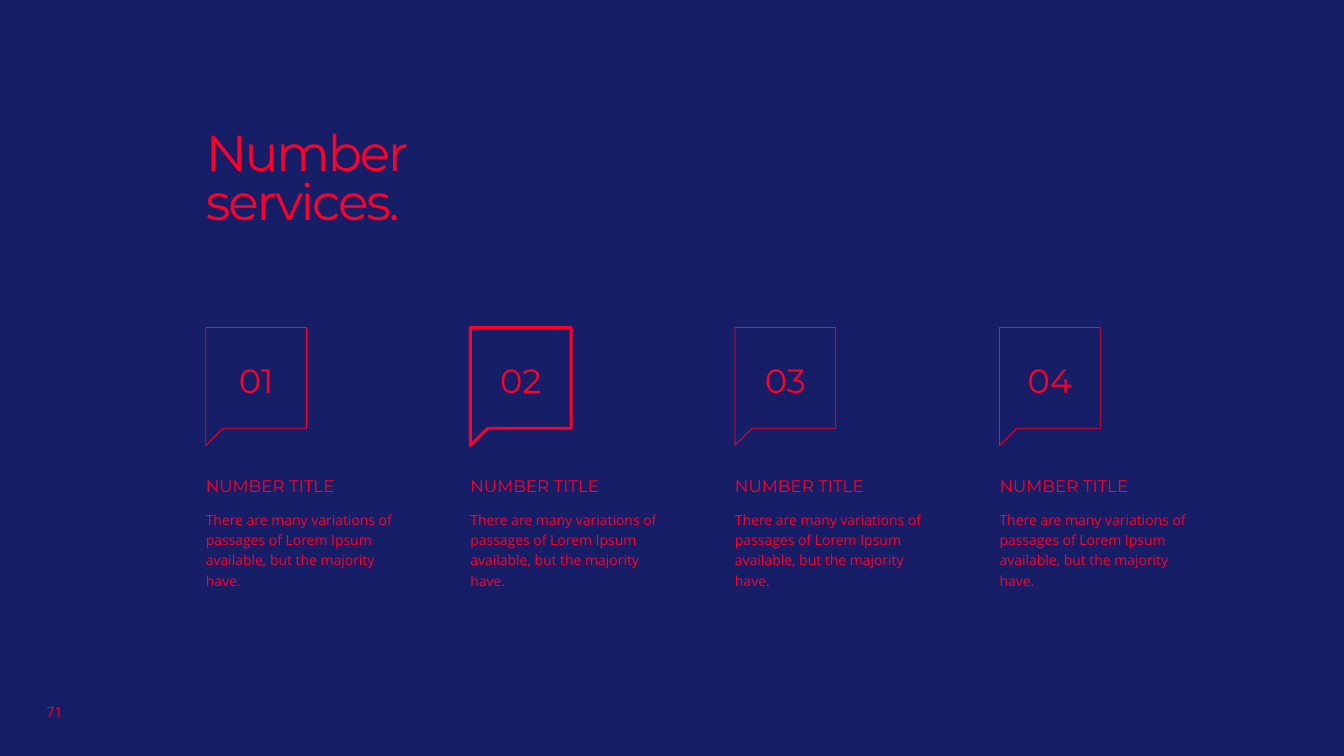
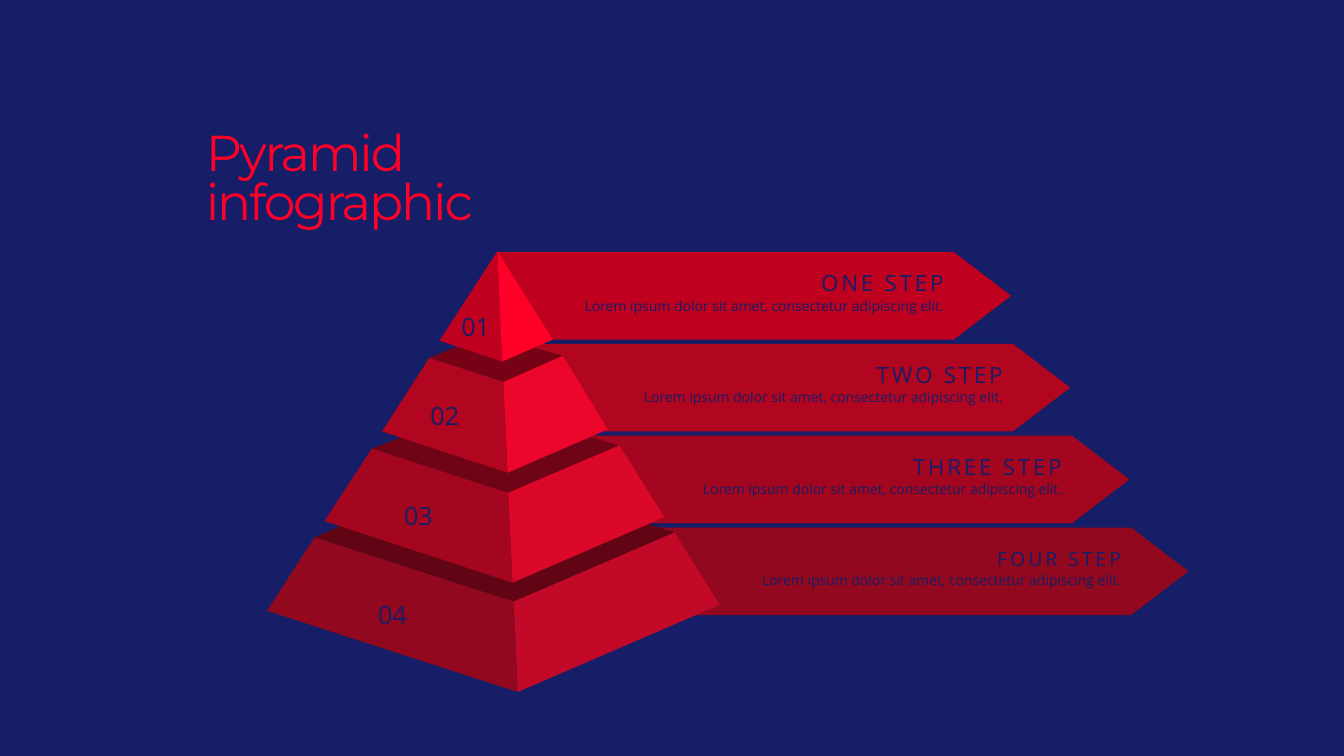
from copy import deepcopy
from dataclasses import dataclass
from typing import Optional

from pptx import Presentation
from pptx.dml.color import RGBColor
from pptx.enum.shapes import MSO_SHAPE
from pptx.enum.text import MSO_ANCHOR, MSO_AUTO_SIZE, PP_ALIGN
from pptx.util import Pt

LEFT, CENTER, RIGHT = PP_ALIGN.LEFT, PP_ALIGN.CENTER, PP_ALIGN.RIGHT
TOP, MIDDLE, BOTTOM = MSO_ANCHOR.TOP, MSO_ANCHOR.MIDDLE, MSO_ANCHOR.BOTTOM
RIGHT_ARROW = MSO_SHAPE.RIGHT_ARROW
NO_AUTOSIZE = MSO_AUTO_SIZE.NONE

COLORS = {
    "navy": "151E67",
    "red": "FF0028",
    "left1": "BF001E", "right1": "FF0028",
    "left2": "B10520", "right2": "EC062B", "lid2": "760315",
    "left3": "A4061F", "right3": "DB082A", "lid3": "6E0415",
    "left4": "92081E", "right4": "C20A28", "lid4": "610514",
}
HEADING_FONT, BODY_FONT = "Montserrat", "Open Sans"
MARGIN_LEFT = 147

Point = tuple[float, float]
Box = tuple[float, float, float, float]


@dataclass(frozen=True)
class TextStyle:
    size: float
    font: str = BODY_FONT
    color: str = "red"
    align: PP_ALIGN = LEFT
    line_spacing: float = 1
    tracking: float = 0
    space_before: float = 0


@dataclass(frozen=True)
class Service:
    number: str
    outline: float = 0.5


@dataclass(frozen=True)
class Tier:
    number: str
    step: str
    step_size: float
    left_top: Point
    right_top: Point
    ridge_top: Point
    ridge_bottom: Point
    left_bottom: Point
    right_bottom: Point
    back: Optional[Point] = None


TITLE = TextStyle(36, HEADING_FONT, line_spacing=0.8, tracking=-1.5)
PAGE_NUMBER = TextStyle(10, align=CENTER)
SERVICE_NUMBER = TextStyle(24, HEADING_FONT, align=CENTER, line_spacing=0.7)
SERVICE_TITLE = TextStyle(12, HEADING_FONT, line_spacing=0.7)
SERVICE_BODY = TextStyle(10, line_spacing=1.2)
TIER_NUMBER = TextStyle(18, color="navy", align=CENTER)
STEP_BODY = TextStyle(10, color="navy", align=RIGHT, line_spacing=0.6, space_before=6)

SERVICES = [Service("01"), Service("02", 2), Service("03"), Service("04")]
SERVICE_TEXT = ("There are many variations of passages of Lorem Ipsum "
                "available, but the majority have.")
STEP_TEXT = "Lorem ipsum dolor sit amet, consectetur adipiscing elit."

APEX = (355.2, 179.5)
TIERS = [
    Tier("01", "ONE STEP", 16, APEX, APEX, APEX,
         (358.6, 258.3), (313.9, 243.4), (394.8, 242.6)),
    Tier("02", "TWO STEP", 16, (306.7, 255.6), (402.1, 254.2), (359.6, 272.9),
         (362.5, 337.7), (272.9, 308.2), (434.2, 306.7), (348.5, 239)),
    Tier("03", "THREE STEP", 16, (265.7, 320.4), (442.4, 318.2), (362.9, 352.1),
         (366.1, 416.2), (231.8, 372.2), (474.5, 369.4), (346.3, 290.2)),
    Tier("04", "FOUR STEP", 14, (224.7, 383.8), (481.9, 380.4), (366.9, 429.8),
         (369.8, 494.3), (190.8, 436.3), (514.1, 432), (339.8, 334.1)),
]


def rgb(name: str) -> RGBColor:
    return RGBColor.from_string(COLORS[name])


def write_paragraph(paragraph, text: str, style: TextStyle) -> None:
    paragraph.alignment = style.align
    paragraph.line_spacing = style.line_spacing
    paragraph.space_before = Pt(style.space_before)
    for index, line in enumerate(text.split("\n")):
        if index:
            paragraph.add_line_break()
        run = paragraph.add_run()
        run.text = line
        run.font.name = style.font
        run.font.size = Pt(style.size)
        run.font.color.rgb = rgb(style.color)
        properties = run._r.get_or_add_rPr()
        if style.tracking:
            properties.set("spc", str(int(style.tracking * 100)))
        if index:
            # The break takes the text size, so line heights stay equal
            run._r.getprevious().append(deepcopy(properties))


def set_frame(frame, insets: Box, anchor: MSO_ANCHOR = TOP) -> None:
    frame.word_wrap = True
    frame.auto_size = NO_AUTOSIZE
    frame.vertical_anchor = anchor
    (frame.margin_left, frame.margin_top,
     frame.margin_right, frame.margin_bottom) = (Pt(inset) for inset in insets)


def add_text(slide, box: Box, text: str, style: TextStyle,
             side_inset: float = 0) -> None:
    frame = slide.shapes.add_textbox(*(Pt(length) for length in box)).text_frame
    set_frame(frame, (side_inset, 3.6, side_inset, 3.6))
    write_paragraph(frame.paragraphs[0], text, style)


def add_outline(slide, points: list[Point]):
    """Build a closed polygon from absolute corners, skipping repeated ones."""
    corners = [(Pt(x), Pt(y)) for x, y in dict.fromkeys(points)]
    builder = slide.shapes.build_freeform(*corners[0])
    builder.add_line_segments(corners[1:], close=True)
    shape = builder.convert_to_shape()
    shape.shadow.inherit = False
    return shape


def paint(shape, color: str) -> None:
    shape.shadow.inherit = False
    shape.fill.solid()
    shape.fill.fore_color.rgb = rgb(color)
    shape.line.fill.background()


def add_titled_slide(prs, text: str):
    slide = prs.slides.add_slide(prs.slide_layouts[5])
    title = slide.shapes.title
    title.left, title.top = Pt(MARGIN_LEFT), Pt(80)
    title.width, title.height = Pt(332), Pt(127)
    set_frame(title.text_frame, (0, 15, 0, 0))
    write_paragraph(title.text_frame.paragraphs[0], text, TITLE)
    return slide


# Numbered services
def add_service(slide, service: Service, left: float) -> None:
    top, side, tail = 234, 72, 12.25
    callout = add_outline(slide, [
        (left, top), (left + side, top), (left + side, top + side),
        (left + tail, top + side), (left, top + side + tail)])
    callout.fill.background()
    callout.line.color.rgb = rgb("red")
    callout.line.width = Pt(service.outline)
    add_text(slide, (left, 340, 144, 17), "NUMBER TITLE", SERVICE_TITLE)
    add_text(slide, (left, 359.5, 144, 65.5), SERVICE_TEXT, SERVICE_BODY)
    add_text(slide, (left + 11, 261.5, 50, 29.5), service.number, SERVICE_NUMBER)


def build_services(prs) -> None:
    slide = add_titled_slide(prs, "Number\nservices.")
    add_text(slide, (19, 499, 40, 18), "71", PAGE_NUMBER, side_inset=7.2)
    for index, service in enumerate(SERVICES):
        add_service(slide, service, MARGIN_LEFT + 189 * index)


# Pyramid
def add_step_arrow(slide, tier: Tier, index: int) -> None:
    left, top = APEX[0], 180 + 65.6 * index
    tip = 722.2 + 42.25 * index
    arrow = slide.shapes.add_shape(
        RIGHT_ARROW, Pt(left), Pt(top), Pt(tip - left), Pt(62.5))
    arrow.adjustments[0], arrow.adjustments[1] = 1, 0.655
    paint(arrow, f"left{tier.number[-1]}")
    frame = arrow.text_frame
    set_frame(frame, (7.2, 3.6, 7.2, 3.6), MIDDLE)
    step_style = TextStyle(tier.step_size, color="navy", align=RIGHT,
                           line_spacing=0.6, tracking=2)
    write_paragraph(frame.paragraphs[0], tier.step, step_style)
    write_paragraph(frame.add_paragraph(), STEP_TEXT, STEP_BODY)


def add_tier(slide, tier: Tier) -> None:
    faces = {
        "right": [tier.right_top, tier.ridge_top, tier.ridge_bottom, tier.right_bottom],
        "left": [tier.ridge_top, tier.ridge_bottom, tier.left_bottom, tier.left_top],
    }
    if tier.back:
        lid = [tier.left_top, tier.back, tier.right_top, tier.ridge_top]
        faces = {"lid": lid, **faces}
    drawn = {}
    for side, points in faces.items():
        drawn[side] = add_outline(slide, points)
        paint(drawn[side], f"{side}{tier.number[-1]}")

    frame = drawn["left"].text_frame
    if tier.back:
        set_frame(frame, (7.2, 3.6, 7.2, 3.6), MIDDLE)
    else:
        set_frame(frame, (7.2, 7.2, 0, 14.4), BOTTOM)
    write_paragraph(frame.paragraphs[0], tier.number, TIER_NUMBER)
    slide.shapes.add_group_shape(list(drawn.values()))


def build_pyramid(prs) -> None:
    slide = add_titled_slide(prs, "Pyramid infographic")
    for index, tier in enumerate(TIERS):
        add_step_arrow(slide, tier, index)
    for tier in reversed(TIERS):
        add_tier(slide, tier)


def main() -> None:
    prs = Presentation()
    prs.slide_width, prs.slide_height = Pt(960), Pt(540)
    background = prs.slide_master.background.fill
    background.solid()
    background.fore_color.rgb = rgb("navy")
    build_services(prs)
    build_pyramid(prs)
    prs.save("out.pptx")


if __name__ == "__main__":
    main()
